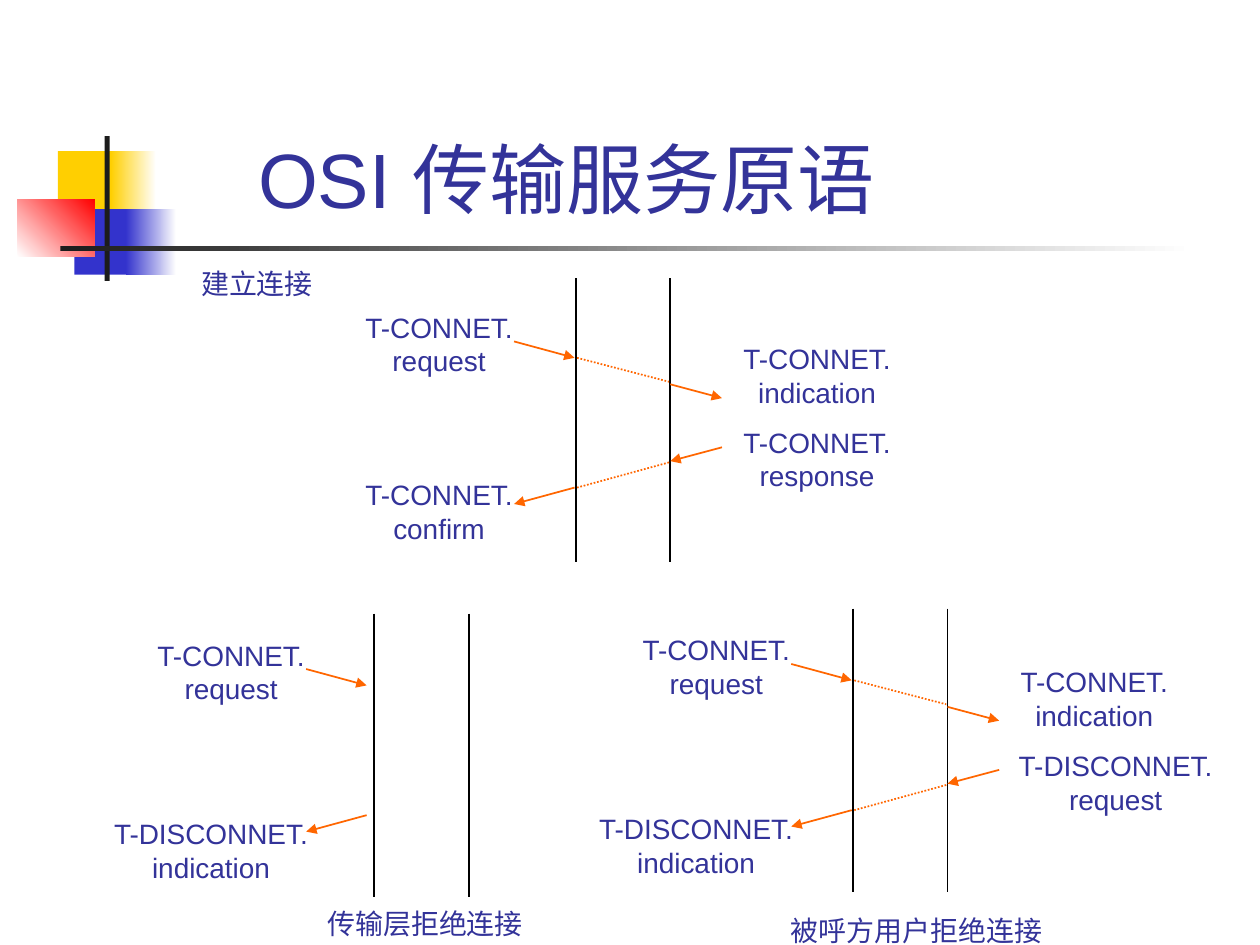
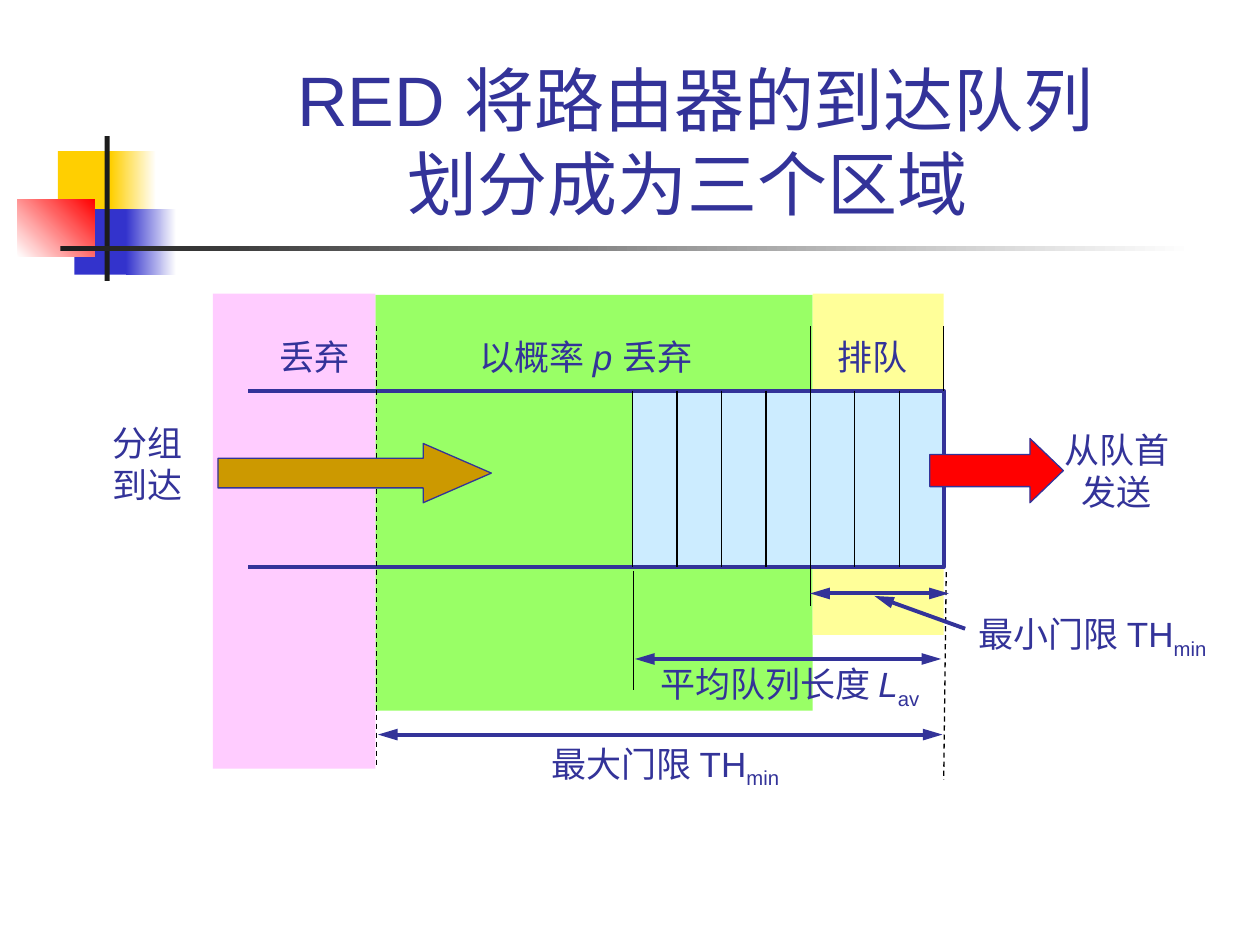
from dataclasses import dataclass
from typing import NamedTuple, Optional

from lxml.etree import SubElement
from pptx import Presentation
from pptx.dml.color import RGBColor
from pptx.enum.dml import MSO_LINE
from pptx.enum.shapes import MSO_CONNECTOR, MSO_SHAPE
from pptx.enum.text import MSO_ANCHOR, MSO_AUTO_SIZE, PP_ALIGN
from pptx.oxml.ns import qn
from pptx.slide import Slide
from pptx.util import Inches, Pt

COLORS = {
    "text": "333399", "white": "FFFFFF", "black": "000000", "ink": "1C1C1C",
    "gold": "FFCF01", "blue": "3333CC", "red": "FF0000", "message": "FF6600",
    "drop": "FFCCFF", "random_drop": "99FF66", "enqueue": "FFFF99",
    "queue": "CCECFF", "arrival": "CC9900",
}
FONT = "Arial"


class Box(NamedTuple):
    left: float
    top: float
    width: float
    height: float


class Run(NamedTuple):
    text: str
    italic: bool = False
    subscript: bool = False


class LineStyle(NamedTuple):
    color: str
    width: float
    dash: Optional[MSO_LINE] = None
    head: bool = False
    tail: bool = False
    head_length: str = "med"


@dataclass
class Block:
    """A filled rectangle or arrow; a second colour makes a gradient."""
    box: Box
    color: str
    end_color: Optional[str] = None
    angle: float = 0
    kind: MSO_SHAPE = MSO_SHAPE.RECTANGLE
    head_ratio: Optional[float] = None


@dataclass
class Label:
    box: Box
    paragraphs: list
    size: float = 16
    align: PP_ALIGN = PP_ALIGN.CENTER
    anchor: MSO_ANCHOR = MSO_ANCHOR.MIDDLE
    wrap: bool = False


@dataclass
class Message:
    """Texts of one primitive, with their offset from the first arrow."""
    left: float
    top: float
    primitive: str
    kind: str


@dataclass
class Exchange:
    bar_left: float
    bar_top: float
    left: float
    top: float
    messages: list
    reaches_peer: bool
    caption: str
    caption_box: Box


FRAME = [
    Block(Box(0.46, 1.2, 0.48, 0.52), "gold"),
    Block(Box(0.88, 1.2, 0.36, 0.52), "gold", "white"),
    Block(Box(0.59, 1.66, 0.46, 0.52), "blue"),
    Block(Box(1, 1.66, 0.4, 0.52), "blue", "white"),
    Block(Box(0.14, 1.58, 0.61, 0.46), "white", "red", 45),
    Block(Box(0.83, 1.08, 0.04, 1.15), "ink"),
    Block(Box(0.48, 1.95, 9, 0.04), "ink", "white"),
]

BAR = LineStyle("black", 1)
SENT = LineStyle("message", 1, tail=True)
IN_TRANSIT = LineStyle("message", 1, MSO_LINE.ROUND_DOT)
THIN = LineStyle("black", 0.75)
DASHED = LineStyle("black", 0.75, MSO_LINE.DASH)
POINTER = LineStyle("text", 2.25, tail=True, head_length="lg")
SPAN = POINTER._replace(head=True)

BAR_GAP, BAR_HEIGHT = 0.75, 2.25
LOCAL_ARROWS = [
    (0, 0, 0.48, 0.13, SENT),
    (0.48, 1.16, 0, 1.29, SENT),
]
PEER_ARROWS = [
    (0.5, 0.13, 1.23, 0.32, IN_TRANSIT),
    (1.24, 0.34, 1.65, 0.45, SENT),
    (1.65, 0.84, 1.24, 0.95, SENT),
    (1.23, 0.96, 0.5, 1.16, IN_TRANSIT),
]
REQUEST = Message(-1.18, -0.27, "T-CONNET.", "request")
INDICATION = Message(1.82, -0.02, "T-CONNET.", "indication")
REFUSAL = Message(-1.34, 1.15, "T-DISCONNET.", "indication")
EXCHANGES = [
    Exchange(4.57, 2.21, 4.08, 2.71, [
        REQUEST, INDICATION,
        Message(1.82, 0.64, "T-CONNET.", "response"),
        Message(-1.18, 1.06, "T-CONNET.", "confirm"),
    ], True, "建立连接", Box(1.54, 2.04, 1, 0.42)),
    Exchange(6.77, 4.83, 6.28, 5.27, [
        REQUEST, INDICATION,
        Message(1.99, 0.65, "T-DISCONNET.", "request"), REFUSAL,
    ], True, "被呼方用户拒绝连接", Box(6.36, 7.17, 1.83, 0.42)),
    Exchange(2.97, 4.87, 2.43, 5.31, [REQUEST, REFUSAL],
             False, "传输层拒绝连接", Box(2.46, 7.12, 1.83, 0.42)),
]

ZONES = [
    Block(Box(2.98, 2.34, 3.47, 3.3), "random_drop"),
    Block(Box(6.45, 2.33, 1.04, 2.71), "enqueue"),
    Block(Box(1.69, 2.33, 1.29, 3.77), "drop"),
]
QUEUE = Box(5.02, 3.1, 2.47, 1.4)
QUEUE_RIGHT, QUEUE_BOTTOM = 7.49, 4.5
BUFFER_LEFT = 1.97
SLOTS, THRESHOLD_SLOT = 7, 4
FLOW_ARROWS = [
    Block(Box(7.38, 3.48, 1.06, 0.51), "red",
          kind=MSO_SHAPE.RIGHT_ARROW, head_ratio=0.52),
    Block(Box(1.73, 3.52, 2.17, 0.47), "arrival",
          kind=MSO_SHAPE.RIGHT_ARROW, head_ratio=1.15),
]
QUEUE_LINES = [
    (2.99, 2.59, 2.99, 6.07, DASHED),
    (7.49, 2.59, 7.49, 3.1, THIN),
    (5.04, 5.23, 7.47, 5.23, SPAN),
    (7.51, 4.54, 7.49, 6.19, DASHED),
    (5.03, 4.53, 5.03, 5.48, THIN),
    (6.43, 4.71, 7.53, 4.71, SPAN),
    (3, 5.83, 7.48, 5.83, SPAN),
    (7.66, 4.99, 6.94, 4.73, POINTER),
]
MIN = Run("min", subscript=True)
QUEUE_TEXTS = [
    (Box(8.35, 3.35, 1.03, 0.77), [[Run("从队首")], [Run("发送")]]),
    (Box(0.8, 3.3, 0.75, 0.77), [[Run("分组")], [Run("到达")]]),
    (Box(7.67, 4.81, 2.14, 0.48), [[Run("最小门限 TH"), MIN]]),
    (Box(4.28, 5.84, 2.07, 0.48), [[Run("最大门限 TH"), MIN]]),
    (Box(5.14, 5.21, 2.32, 0.48),
     [[Run("平均队列长度 "), Run("L", italic=True), Run("av", subscript=True)]]),
    (Box(6.55, 2.61, 0.75, 0.44), [[Run("排队")]]),
    (Box(2.12, 2.61, 0.75, 0.44), [[Run("丢弃")]]),
    (Box(3.71, 2.61, 2.02, 0.44),
     [[Run("以概率 "), Run("p ", italic=True), Run("丢弃")]]),
]


def rgb(name: str) -> RGBColor:
    return RGBColor.from_string(COLORS[name])


def apply_format(target, values: dict) -> None:
    for name, value in values.items():
        setattr(target, name, value)


def add_block(slide: Slide, block: Block) -> None:
    shape = slide.shapes.add_shape(block.kind, *map(Inches, block.box))
    shape.shadow.inherit = False
    if block.end_color:
        shape.fill.gradient()
        shape.fill.gradient_angle = block.angle
        for stop, color in zip(shape.fill.gradient_stops, (block.color, block.end_color)):
            stop.color.rgb = rgb(color)
    else:
        shape.fill.solid()
        shape.fill.fore_color.rgb = rgb(block.color)
    if block.head_ratio is None:
        shape.line.fill.background()
    else:
        shape.adjustments[1] = block.head_ratio
        shape.line.color.rgb = rgb("text")
        shape.line.width = Pt(0.75)


def add_line(slide: Slide, x1: float, y1: float, x2: float, y2: float,
             style: LineStyle) -> None:
    connector = slide.shapes.add_connector(
        MSO_CONNECTOR.STRAIGHT, *map(Inches, (x1, y1, x2, y2)))
    connector.line.color.rgb = rgb(style.color)
    connector.line.width = Pt(style.width)
    if style.dash:
        connector.line.dash_style = style.dash
    properties = connector._element.spPr
    outline = properties.find(qn("a:ln"))
    for tag, wanted in (("a:headEnd", style.head), ("a:tailEnd", style.tail)):
        if wanted:
            SubElement(outline, qn(tag), type="triangle", w="med", len=style.head_length)
    SubElement(properties, qn("a:effectLst"))


def add_label(slide: Slide, label: Label) -> None:
    frame = slide.shapes.add_textbox(*map(Inches, label.box)).text_frame
    apply_format(frame, {
        "word_wrap": label.wrap, "auto_size": MSO_AUTO_SIZE.NONE,
        "vertical_anchor": label.anchor,
    })
    for index, runs in enumerate(label.paragraphs):
        paragraph = frame.add_paragraph() if index else frame.paragraphs[0]
        paragraph.alignment = label.align
        for part in runs:
            run = paragraph.add_run()
            run.text = part.text
            apply_format(run.font, {
                "name": FONT, "size": Pt(label.size), "italic": part.italic})
            run.font.color.rgb = rgb("text")
            if part.subscript:
                run._r.get_or_add_rPr().set("baseline", "-25000")


def add_framed_slide(presentation: Presentation, title: Label, backdrop=()) -> Slide:
    """Add a slide with the shared ornament, an optional backdrop and the title."""
    slide = presentation.slides.add_slide(presentation.slide_layouts[6])
    for block in (*FRAME, *backdrop):
        add_block(slide, block)
    apply_format(title, {"anchor": MSO_ANCHOR.BOTTOM, "wrap": True})
    add_label(slide, title)
    return slide


def add_exchange(slide: Slide, exchange: Exchange) -> None:
    for x in (exchange.bar_left, exchange.bar_left + BAR_GAP):
        add_line(slide, x, exchange.bar_top, x, exchange.bar_top + BAR_HEIGHT, BAR)
    arrows = LOCAL_ARROWS + (PEER_ARROWS if exchange.reaches_peer else [])
    for x1, y1, x2, y2, style in arrows:
        add_line(slide, exchange.left + x1, exchange.top + y1,
                 exchange.left + x2, exchange.top + y2, style)
    for message in exchange.messages:
        box = Box(exchange.left + message.left, exchange.top + message.top, 1.17, 0.58)
        add_label(slide, Label(box, [[Run(message.primitive)], [Run(message.kind)]]))
    add_label(slide, Label(exchange.caption_box, [[Run(exchange.caption)]]))


def add_queue(slide: Slide) -> None:
    add_block(slide, Block(QUEUE, "queue"))
    builder = slide.shapes.build_freeform(Inches(BUFFER_LEFT), Inches(QUEUE.top))
    corners = [(QUEUE_RIGHT, QUEUE.top), (QUEUE_RIGHT, QUEUE_BOTTOM),
               (BUFFER_LEFT, QUEUE_BOTTOM)]
    builder.add_line_segments([(Inches(x), Inches(y)) for x, y in corners], close=False)
    buffer = builder.convert_to_shape()
    buffer.shadow.inherit = False
    buffer.fill.background()
    buffer.line.color.rgb = rgb("text")
    buffer.line.width = Pt(2.25)
    for slot in range(SLOTS):
        x = QUEUE.left + slot * QUEUE.width / SLOTS
        top, bottom = (2.59, 4.81) if slot == THRESHOLD_SLOT else (QUEUE.top, QUEUE_BOTTOM)
        add_line(slide, x, top, x, bottom, THIN)


def build_primitives_slide(presentation: Presentation) -> None:
    title = Label(Box(1.95, 0.23, 5.85, 1.6), [[Run("OSI 传输服务原语")]],
                  44, PP_ALIGN.LEFT)
    slide = add_framed_slide(presentation, title)
    for exchange in EXCHANGES:
        add_exchange(slide, exchange)


def build_red_slide(presentation: Presentation) -> None:
    title = Label(Box(1.26, 0.23, 8.52, 1.6),
                  [[Run("RED 将路由器的到达队列")], [Run("划分成为三个区域 ")]], 40)
    slide = add_framed_slide(presentation, title, ZONES)
    add_queue(slide)
    for x1, y1, x2, y2, style in QUEUE_LINES:
        add_line(slide, x1, y1, x2, y2, style)
    for arrow in FLOW_ARROWS:
        add_block(slide, arrow)
    for box, paragraphs in QUEUE_TEXTS:
        align = PP_ALIGN.CENTER if len(paragraphs) > 1 else PP_ALIGN.LEFT
        add_label(slide, Label(box, paragraphs, 20, align, MSO_ANCHOR.TOP))


def main() -> None:
    presentation = Presentation()
    apply_format(presentation, {"slide_width": Inches(10), "slide_height": Inches(7.5)})
    build_primitives_slide(presentation)
    build_red_slide(presentation)
    presentation.save("out.pptx")


if __name__ == "__main__":
    main()
